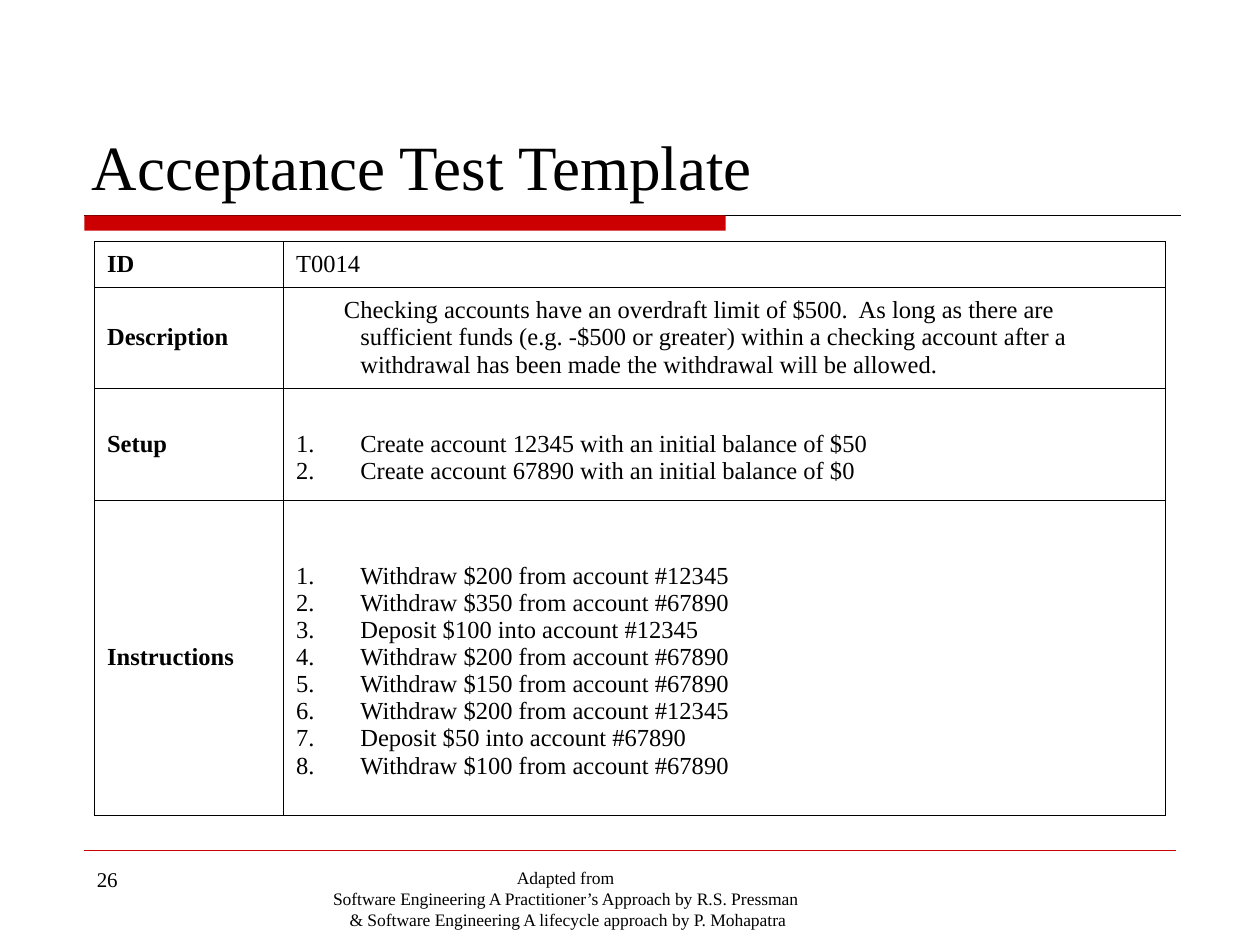
from lxml import etree
from pptx import Presentation
from pptx.dml.color import RGBColor
from pptx.enum.shapes import MSO_CONNECTOR, MSO_SHAPE
from pptx.enum.text import MSO_ANCHOR, PP_ALIGN
from pptx.oxml.ns import qn
from pptx.util import Inches, Pt

LEFT, CENTER = PP_ALIGN.LEFT, PP_ALIGN.CENTER
TOP, MIDDLE, BOTTOM = MSO_ANCHOR.TOP, MSO_ANCHOR.MIDDLE, MSO_ANCHOR.BOTTOM
STRAIGHT, RECTANGLE = MSO_CONNECTOR.STRAIGHT, MSO_SHAPE.RECTANGLE
BLACK = RGBColor(0x00, 0x00, 0x00)
RED = RGBColor(0xCC, 0x00, 0x00)
FONT = "Times New Roman"

TITLE = "Acceptance Test Template"
NUMBER = ["26"]
CREDIT = [
    "Adapted from ",
    "Software Engineering A Practitioner’s Approach by R.S. Pressman ",
    "& Software Engineering A lifecycle approach by P. Mohapatra",
]
ROWS = [
    ("ID", "T0014"),
    ("Description",
     "Checking accounts have an overdraft limit of $500.  As long as there are "
     "sufficient funds (e.g. -$500 or greater) within a checking account after a "
     "withdrawal has been made the withdrawal will be allowed."),
    ("Setup", [
        "Create account 12345 with an initial balance of $50",
        "Create account 67890 with an initial balance of $0",
    ]),
    ("Instructions", [
        "Withdraw $200 from account #12345",
        "Withdraw $350 from account #67890",
        "Deposit $100 into account #12345",
        "Withdraw $200 from account #67890",
        "Withdraw $150 from account #67890",
        "Withdraw $200 from account #12345",
        "Deposit $50 into account #67890",
        "Withdraw $100 from account #67890",
    ]),
]
COL_WIDTHS = [1.5, 7]
ROW_HEIGHTS = [0.36, 0.8, 0.89, 2.5]
HANGING, FIRST_LINE = -0.51, -0.13
LIST_TOP = 0.26
RULE_LEFT, RULE_TOP = 0.67, 1.71


def write(tf, lines, size, align=LEFT, bold=False):
    """Fill a text frame with one formatted paragraph per line."""
    tf.word_wrap = True
    tf.text = "\n".join(lines)
    for p in tf.paragraphs:
        p.alignment = align
        for r in p.runs:
            r.font.name, r.font.size, r.font.bold = FONT, Pt(size), bold
            r.font.color.rgb = BLACK


def add_text(slide, box, lines, size, align=LEFT):
    """Add a text box."""
    sp = slide.shapes.add_textbox(*map(Inches, box))
    write(sp.text_frame, lines, size, align)


def add_rule(slide, x1, x2, y, color, width):
    """Add a horizontal line without a shadow."""
    line = slide.shapes.add_connector(STRAIGHT, *map(Inches, (x1, y, x2, y)))
    line.line.color.rgb, line.line.width = color, Pt(width)
    etree.SubElement(line._element.spPr, qn("a:effectLst"))


def add_borders(cell):
    """Draw a thin black border on all four sides of a cell."""
    tcPr = cell._tc.get_or_add_tcPr()
    for i, side in enumerate(("lnL", "lnR", "lnT", "lnB")):
        ln = etree.Element(qn("a:" + side), w=str(Pt(0.75)))
        fill = etree.SubElement(ln, qn("a:solidFill"))
        etree.SubElement(fill, qn("a:srgbClr"), val=str(BLACK))
        tcPr.insert(i, ln)


def fill_cell(cell, content, bold):
    """Write a label, a passage or a numbered list into a cell."""
    numbered = isinstance(content, list)
    write(cell.text_frame, content if numbered else [content], 14, bold=bold)
    cell.vertical_anchor = MIDDLE
    cell.margin_left = cell.margin_right = Inches(0.1)
    cell.margin_top = Inches(LIST_TOP if numbered else 0.05)
    cell.margin_bottom = Inches(0.05)
    cell.fill.background()
    add_borders(cell)
    indent = FIRST_LINE if len(content) > 60 else HANGING
    for p in cell.text_frame.paragraphs:
        pPr = p._p.get_or_add_pPr()
        pPr.set("marL", str(Inches(-HANGING)))
        pPr.set("indent", str(Inches(indent)))
        if numbered:
            etree.SubElement(pPr, qn("a:buFont"), typeface=FONT)
            etree.SubElement(pPr, qn("a:buAutoNum"), type="arabicPeriod")


def add_grid(slide):
    """Add the test case table."""
    box = (0.75, 1.92, sum(COL_WIDTHS), sum(ROW_HEIGHTS))
    table = slide.shapes.add_table(len(ROWS), len(COL_WIDTHS), *map(Inches, box)).table
    table.first_row = table.horz_banding = False
    for col, width in zip(table.columns, COL_WIDTHS):
        col.width = Inches(width)
    for row, height, contents in zip(table.rows, ROW_HEIGHTS, ROWS):
        row.height = Inches(height)
        for i, (cell, content) in enumerate(zip(row.cells, contents)):
            fill_cell(cell, content, bold=i == 0)


def main():
    """Build the slide."""
    prs = Presentation()
    prs.slide_width, prs.slide_height = Inches(10), Inches(7.5)
    s = prs.slides.add_slide(prs.slide_layouts[5])

    add_rule(s, RULE_LEFT, 9.37, RULE_TOP, BLACK, 0.75)
    bar = s.shapes.add_shape(RECTANGLE, *map(Inches, (RULE_LEFT, RULE_TOP, 5.09, 0.12)))
    bar.shadow.inherit = False
    bar.fill.solid()
    bar.fill.fore_color.rgb = RED
    bar.line.fill.background()
    add_rule(s, RULE_LEFT, 9.33, 6.75, RED, 0.25)

    title = s.shapes.title
    title.left, title.top, title.width, title.height = map(Inches, (0.63, 0.33, 8.75, 1.33))
    write(title.text_frame, [TITLE], 36)
    title.text_frame.vertical_anchor = BOTTOM

    add_grid(s)
    add_text(s, (RULE_LEFT, 6.83, 2.17, 0.52), NUMBER, 12)
    add_text(s, (2.42, 6.83, 4.17, 0.42), CREDIT, 10, CENTER)
    prs.save("out.pptx")


if __name__ == "__main__":
    main()
